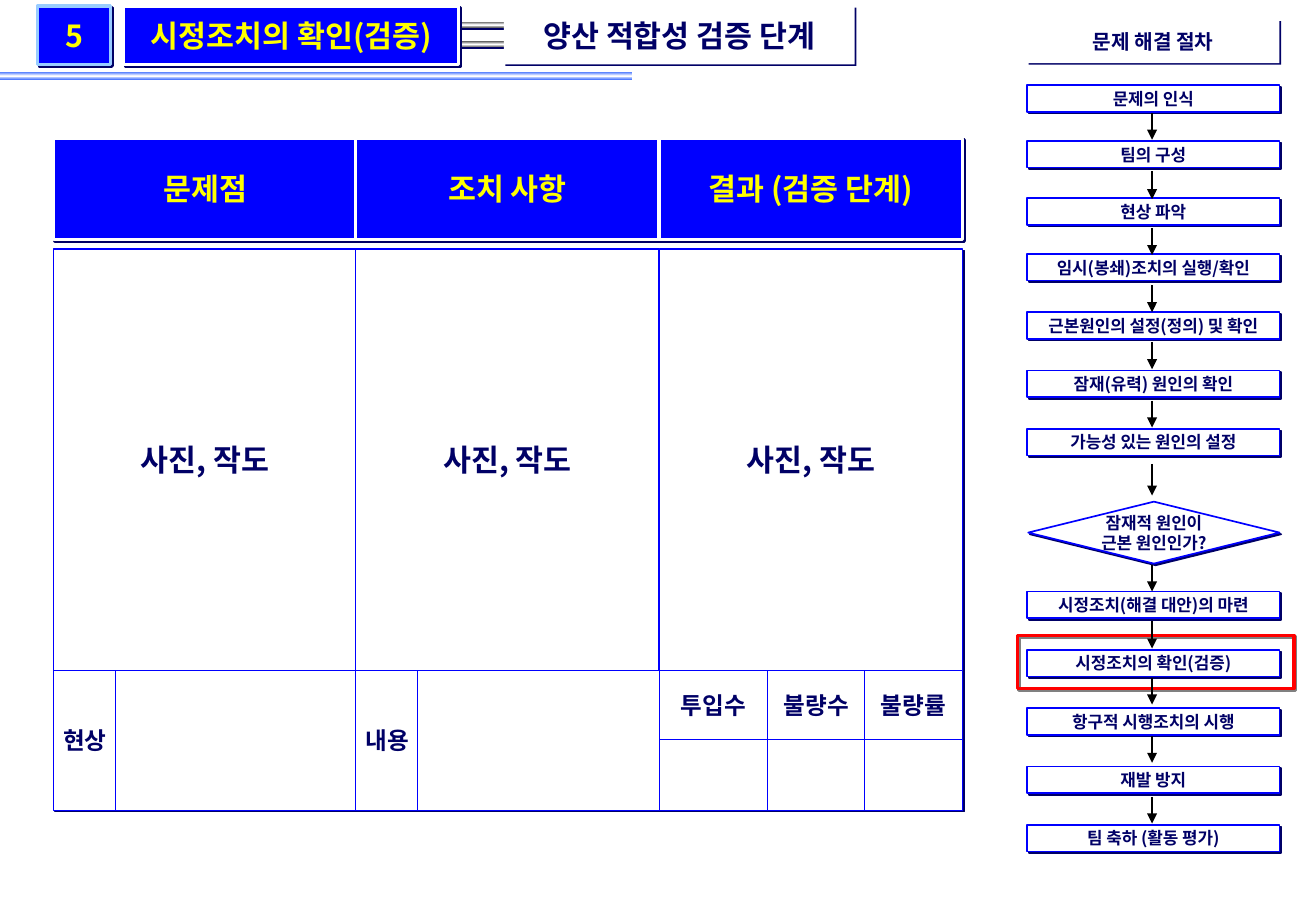
from copy import deepcopy

from lxml import etree
from pptx import Presentation
from pptx.dml.color import RGBColor
from pptx.enum.shapes import MSO_CONNECTOR, MSO_SHAPE
from pptx.enum.text import MSO_ANCHOR, PP_ALIGN
from pptx.oxml.ns import qn
from pptx.util import Pt

RECT, DIAMOND = MSO_SHAPE.RECTANGLE, MSO_SHAPE.DIAMOND
STRAIGHT = MSO_CONNECTOR.STRAIGHT
CENTER, MIDDLE = PP_ALIGN.CENTER, MSO_ANCHOR.MIDDLE
PX = 9144
FONT = "Noto Sans CJK KR"
COLORS = {
    "white": "FFFFFF", "blue": "0000FF", "navy": "000066", "yellow": "FFFF00",
    "sky": "99CCFF", "stripe": "3366FF", "steel": "5C5C5C", "red": "FF0000",
    "gray": "808080", "black": "000000",
}
TITLE = {"fill": "blue", "line": "white", "weight": 2, "color": "yellow", "size": 18}
BADGE = {**TITLE, "line": "sky"}
CELL = {"fill": "white", "line": "blue", "weight": 0.75, "size": 18}
SMALL_CELL = {**CELL, "size": 14}
STEP = {"fill": "white", "line": "blue", "weight": 1, "size": 10}
PLAIN = {"fill": "white", "size": 18}
FRAME = {"line": "red", "weight": 2, "shadow": "gray"}

COLUMNS = [("문제점", "현상"), ("조치 사항", "내용"), ("결과 (검증 단계)", None)]
RESULTS = [("투입수", 0, 89), ("불량수", 89, 81), ("불량률", 169, 81)]
CURRENT_STEP = "시정조치의 확인(검증)"
STEPS = [
    ("문제의 인식", 54), ("팀의 구성", 100), ("현상 파악", 147),
    ("임시(봉쇄)조치의 실행/확인", 193), ("근본원인의 설정(정의) 및 확인", 241),
    ("잠재(유력) 원인의 확인", 289), ("가능성 있는 원인의 설정", 337),
    ("시정조치(해결 대안)의 마련", 471), (CURRENT_STEP, 519),
    ("항구적 시행조치의 시행", 567), ("재발 방지", 615), ("팀 축하 (활동 평가)", 663),
]
ARROWS = [(77, 22), (125, 23), (172, 22), (219, 22), (266, 22), (314, 22),
          (366, 26), (449, 22), (495, 23), (542, 22), (590, 22), (640, 22)]


def rgb(name):
    """Return the named colour."""
    return RGBColor.from_string(COLORS[name])


def add_shadow(shape, color):
    """Give a shape a hard shadow towards the lower right."""
    shape.shadow.inherit = False
    effects = shape._element.spPr.find(qn("a:effectLst"))
    shadow = etree.SubElement(effects, qn("a:outerShdw"), blurRad="0", dist="17961",
                              dir="2700000", algn="ctr", rotWithShape="0")
    etree.SubElement(shadow, qn("a:srgbClr"), val=COLORS[color])


def add_text(shape, text, look):
    """Write centred bold text, one paragraph for each line."""
    frame = shape.text_frame
    frame.word_wrap = False
    frame.vertical_anchor = MIDDLE
    frame.text = text
    values = {"name": FONT, "size": Pt(look["size"]), "bold": True}
    for para in frame.paragraphs:
        para.alignment = CENTER
        for span in para.runs:
            for key, value in values.items():
                setattr(span.font, key, value)
            span.font.color.rgb = rgb(look.get("color", "navy"))
            etree.SubElement(span._r.get_or_add_rPr(), qn("a:ea"), typeface=FONT)


def add_box(page, box, look, text="", kind=RECT):
    """Draw a shadowed shape with optional fill, line and text."""
    shape = page.shapes.add_shape(kind, *(value * PX for value in box))
    if "fill" in look:
        shape.fill.solid()
        shape.fill.fore_color.rgb = rgb(look["fill"])
    else:
        shape.fill.background()
    if "line" in look:
        shape.line.color.rgb = rgb(look["line"])
        shape.line.width = Pt(look["weight"])
    else:
        shape.line.fill.background()
    add_shadow(shape, look.get("shadow", "navy"))
    if text:
        add_text(shape, text, look)


def add_bar(page, box, color, shadow=True):
    """Draw a bar that shines white along its middle."""
    bar = page.shapes.add_shape(RECT, *(value * PX for value in box))
    bar.line.fill.background()
    bar.shadow.inherit = False
    bar.fill.gradient()
    bar.fill.gradient_angle = 90
    stops = bar._element.spPr.find(".//" + qn("a:gsLst"))
    stops.append(deepcopy(stops[0]))
    for stop, name, position in zip(bar.fill.gradient_stops, (color, "white", color), (0, 0.5, 1)):
        stop.color.rgb = rgb(name)
        stop.position = position
    if shadow:
        add_shadow(bar, "navy")


def add_arrow(page, x, top, length):
    """Draw a downward arrow."""
    arrow = page.shapes.add_connector(STRAIGHT, x * PX, top * PX, x * PX, (top + length) * PX)
    arrow.line.color.rgb = rgb("black")
    arrow.line.width = Pt(0.75)
    properties = arrow._element.spPr
    etree.SubElement(properties.find(qn("a:ln")), qn("a:tailEnd"), type="triangle")
    etree.SubElement(properties, qn("a:effectLst"))


def add_header(page, box):
    """Place the numbered title, its rails and the stage name."""
    left, top, width, height = box
    add_bar(page, (0, top + 54, 521, 7), "stripe", shadow=False)
    for rail_top in (29, 13):
        add_bar(page, (left + 299, top + rail_top, 120, 5), "steel")
    add_box(page, (left + width - 289, top, 289, height), PLAIN, "양산 적합성 검증 단계")
    add_box(page, (left + 71, top, 276, height), TITLE, CURRENT_STEP)
    add_box(page, (left, top, 60, height), BADGE, "5")


def add_results(page, box):
    """Place the count headings over their empty cells."""
    left, top, _, height = box
    half = height // 2
    for text, offset, width in RESULTS:
        add_box(page, (left + offset, top, width, half), SMALL_CELL, text)
        add_box(page, (left + offset, top + half, width, height - half), SMALL_CELL)


def add_columns(page, box):
    """Place the three columns of the verification form."""
    left, top, width, height = box
    column_width = 250
    for index, (heading, label) in enumerate(COLUMNS):
        x = left + index * (width - column_width) // 2
        add_box(page, (x, top, column_width, 83), TITLE, heading)
        add_box(page, (x, top + 91, column_width, 347), CELL, "사진, 작도")
        foot, foot_height = top + 438, height - 438
        if label:
            add_box(page, (x, foot, 52, foot_height), SMALL_CELL, label)
            add_box(page, (x + 51, foot, 199, foot_height), SMALL_CELL)
        else:
            add_results(page, (x, foot, column_width, foot_height))


def add_procedure(page, box):
    """Place the problem-solving flow and frame its current step."""
    left, top, width, step_height = box
    current_top = top + dict(STEPS)[CURRENT_STEP]
    add_box(page, (left - 8, current_top - 12, width + 20, step_height + 22), FRAME)
    add_box(page, (left, top, width, 36), {**PLAIN, "size": 12}, "문제 해결 절차")
    for text, offset in STEPS:
        add_box(page, (left, top + offset, width, step_height), STEP, text)
    add_box(page, (left + 1, top + 397, width - 1, 51), STEP,
            "잠재적 원인이\n근본 원인인가?", DIAMOND)
    for offset, length in ARROWS:
        add_arrow(page, left + 103, top + offset, length)


def main():
    """Build the slide and save it."""
    deck = Presentation()
    deck.slide_width, deck.slide_height = 1084 * PX, 750 * PX
    page = deck.slides.add_slide(deck.slide_layouts[6])
    add_header(page, (31, 5, 673, 48))
    add_columns(page, (44, 114, 749, 553))
    add_procedure(page, (846, 16, 208, 22))
    deck.save("out.pptx")


if __name__ == "__main__":
    main()
